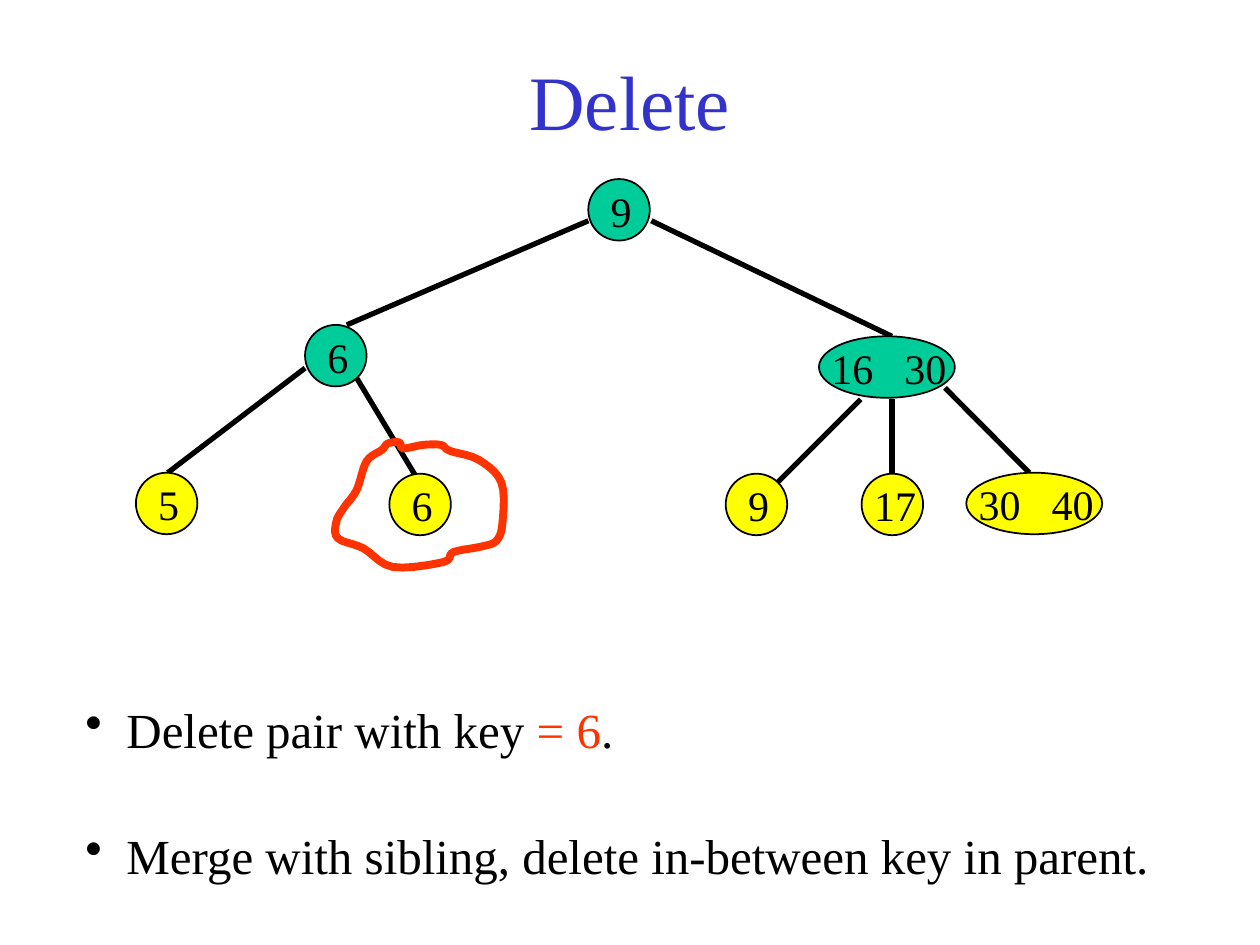
"""Build a slide showing deletion of key 6 from a 2-3 tree."""
import dataclasses

import lxml.etree
import pptx
import pptx.dml.color
import pptx.enum.shapes
import pptx.enum.text
import pptx.oxml.ns
import pptx.util

Cm = pptx.util.Cm
Pt = pptx.util.Pt
RGB = pptx.dml.color.RGBColor.from_string
qn = pptx.oxml.ns.qn


@dataclasses.dataclass(frozen=True)
class Theme:
    font: str = "Times New Roman"
    title: str = "3333CC"
    ink: str = "000000"
    accent: str = "FF3300"
    inner: str = "00CC99"
    leaf: str = "FFFF00"
    title_pt: float = 44
    body_pt: float = 28
    key_pt: float = 24
    outline_pt: float = 1
    edge_pt: float = 3
    loop_pt: float = 4.5


NODE_SIZE = 1.24
PAIR_WIDTH = 2.74
KEY_TAB = 1.47
BULLET_INDENT = 0.83

EDGES = [
    (11.86, 4.45, 6.99, 6.55),
    (13.13, 4.45, 17.98, 6.78),
    (6.15, 7.42, 3.38, 9.53),
    (7.19, 7.62, 8.46, 9.73),
    (17.35, 8.05, 15.67, 9.73),
    (17.98, 8.05, 17.98, 9.73),
    (19.05, 7.82, 20.75, 9.53),
]
INNER_NODES = [("9", 11.86, 3.61), ("6", 6.15, 6.55), ("16\t30", 16.51, 6.78)]
LEAVES = [
    ("5", 2.74, 9.53),
    ("6", 7.85, 9.55),
    ("9", 14.63, 9.55),
    ("17", 17.37, 9.55),
    ("30\t40", 19.48, 9.53),
]
LOOP = [
    (8.05, 8.92), (7.82, 8.94), (7.7, 9.07), (7.39, 9.3), (7.19, 9.88),
    (6.93, 10.24), (6.78, 10.52), (6.81, 10.85), (7.32, 11.05), (7.92, 11.43),
    (8.94, 11.33), (9.14, 11.13), (9.7, 11.02), (10.01, 10.9), (10.13, 10.54),
    (10.11, 9.73), (9.65, 9.27), (9.07, 9.09), (8.89, 8.97), (8.53, 8.97),
    (8.13, 9.04),
]


def smooth_closed(points, steps=5):
    n = len(points)
    curve = []
    for i in range(n):
        neighbours = [points[(i + k) % n] for k in (-1, 0, 1, 2)]
        for step in range(steps):
            t = step / steps
            curve.append(tuple(
                b + t / 2 * (c - a + t * (2 * a - 5 * b + 4 * c - d
                                          + t * (3 * (b - c) + d - a)))
                for a, b, c, d in zip(*neighbours)))
    return curve


class TreeSlide:
    def __init__(self, prs, theme):
        self.theme = theme
        self.shapes = prs.slides.add_slide(prs.slide_layouts[6]).shapes

    def text(self, x, y, w, h, runs, size, color):
        sp = self.shapes.add_textbox(Cm(x), Cm(y), Cm(w), Cm(h))
        tf = sp.text_frame
        tf.word_wrap = True
        p = tf.paragraphs[0]
        for text, run_color in runs:
            r = p.add_run()
            r.text = text
            if run_color:
                r.font.color.rgb = RGB(run_color)
        p.font.name = self.theme.font
        p.font.size = Pt(size)
        p.font.color.rgb = RGB(color)
        return tf

    def title(self, text):
        tf = self.text(1.9, 0.43, 21.6, 3.18, [(text, None)],
                       self.theme.title_pt, self.theme.title)
        tf.vertical_anchor = pptx.enum.text.MSO_ANCHOR.MIDDLE
        tf.paragraphs[0].alignment = pptx.enum.text.PP_ALIGN.CENTER

    def bullet(self, y, w, runs):
        tf = self.text(1.47, y, w, 1.45, runs, self.theme.body_pt, self.theme.ink)
        pPr = tf.paragraphs[0]._p.get_or_add_pPr()
        pPr.set("marL", str(Cm(BULLET_INDENT)))
        pPr.set("indent", str(-Cm(BULLET_INDENT)))
        color = lxml.etree.Element(qn("a:buClr"))
        lxml.etree.SubElement(color, qn("a:srgbClr"), val=self.theme.ink)
        mark = lxml.etree.Element(qn("a:buChar"), char="•")
        pPr.insert(0, color)
        pPr.insert(1, mark)

    def edge(self, x1, y1, x2, y2):
        sp = self.shapes.add_connector(
            pptx.enum.shapes.MSO_CONNECTOR.STRAIGHT, Cm(x1), Cm(y1), Cm(x2), Cm(y2))
        sp.line.color.rgb = RGB(self.theme.ink)
        sp.line.width = Pt(self.theme.edge_pt)
        lxml.etree.SubElement(sp._element.spPr, qn("a:effectLst"))

    def node(self, keys, x, y, fill):
        pair = "\t" in keys
        sp = self.shapes.add_shape(
            pptx.enum.shapes.MSO_SHAPE.OVAL, Cm(x), Cm(y),
            Cm(PAIR_WIDTH if pair else NODE_SIZE), Cm(NODE_SIZE))
        sp.shadow.inherit = False
        sp.fill.solid()
        sp.fill.fore_color.rgb = RGB(fill)
        sp.line.color.rgb = RGB(self.theme.ink)
        sp.line.width = Pt(self.theme.outline_pt)

        offset, width = (0.2, 1.07) if len(keys) == 1 else (0, 3.81 if pair else 2.54)
        tf = self.text(x + offset, y, width, 1.27, [(keys, None)],
                       self.theme.key_pt, self.theme.ink)
        if pair:
            tabs = lxml.etree.Element(qn("a:tabLst"))
            lxml.etree.SubElement(tabs, qn("a:tab"), pos=str(Cm(KEY_TAB)), algn="l")
            tf.paragraphs[0]._p.get_or_add_pPr().insert(0, tabs)

    def loop(self, points):
        curve = [(Cm(x), Cm(y)) for x, y in smooth_closed(points)]
        builder = self.shapes.build_freeform(*curve[0])
        builder.add_line_segments(curve[1:], close=True)
        sp = builder.convert_to_shape()
        sp.shadow.inherit = False
        sp.fill.background()
        sp.line.color.rgb = RGB(self.theme.accent)
        sp.line.width = Pt(self.theme.loop_pt)


def main():
    theme = Theme()
    prs = pptx.Presentation()
    prs.slide_width, prs.slide_height = Cm(25.4), Cm(19.05)
    s = TreeSlide(prs, theme)
    s.title("Delete")
    for edge in EDGES:
        s.edge(*edge)
    s.loop(LOOP)
    for nodes, fill in ((INNER_NODES, theme.inner), (LEAVES, theme.leaf)):
        for keys, x, y in nodes:
            s.node(keys, x, y, fill)
    s.bullet(13.97, 16.94, [("Delete pair with key ", None),
                            ("= 6", theme.accent), (".", None)])
    s.bullet(16.51, 22.02,
             [("Merge with sibling, delete in-between key in parent.", None)])
    prs.save("out.pptx")


if __name__ == "__main__":
    main()
